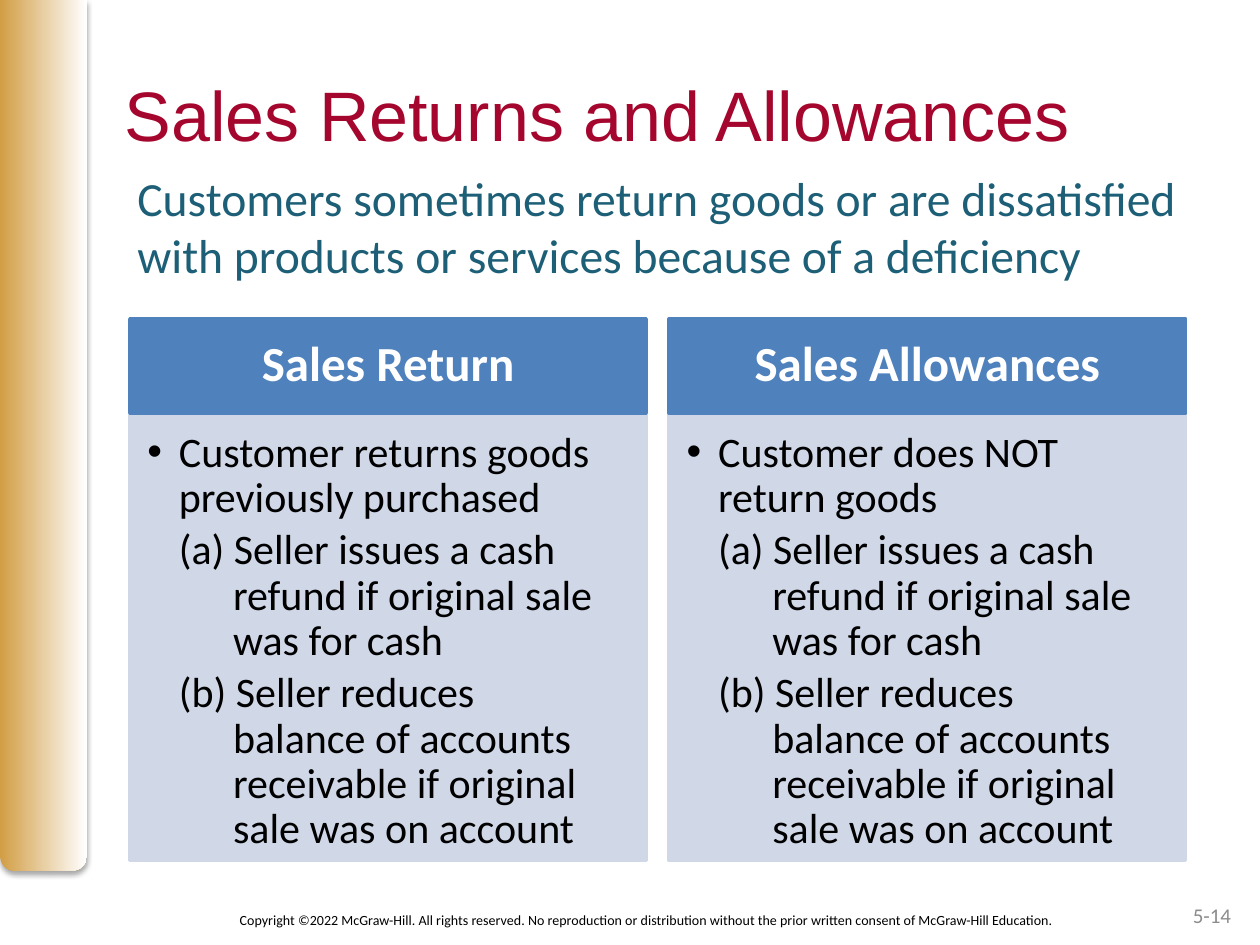
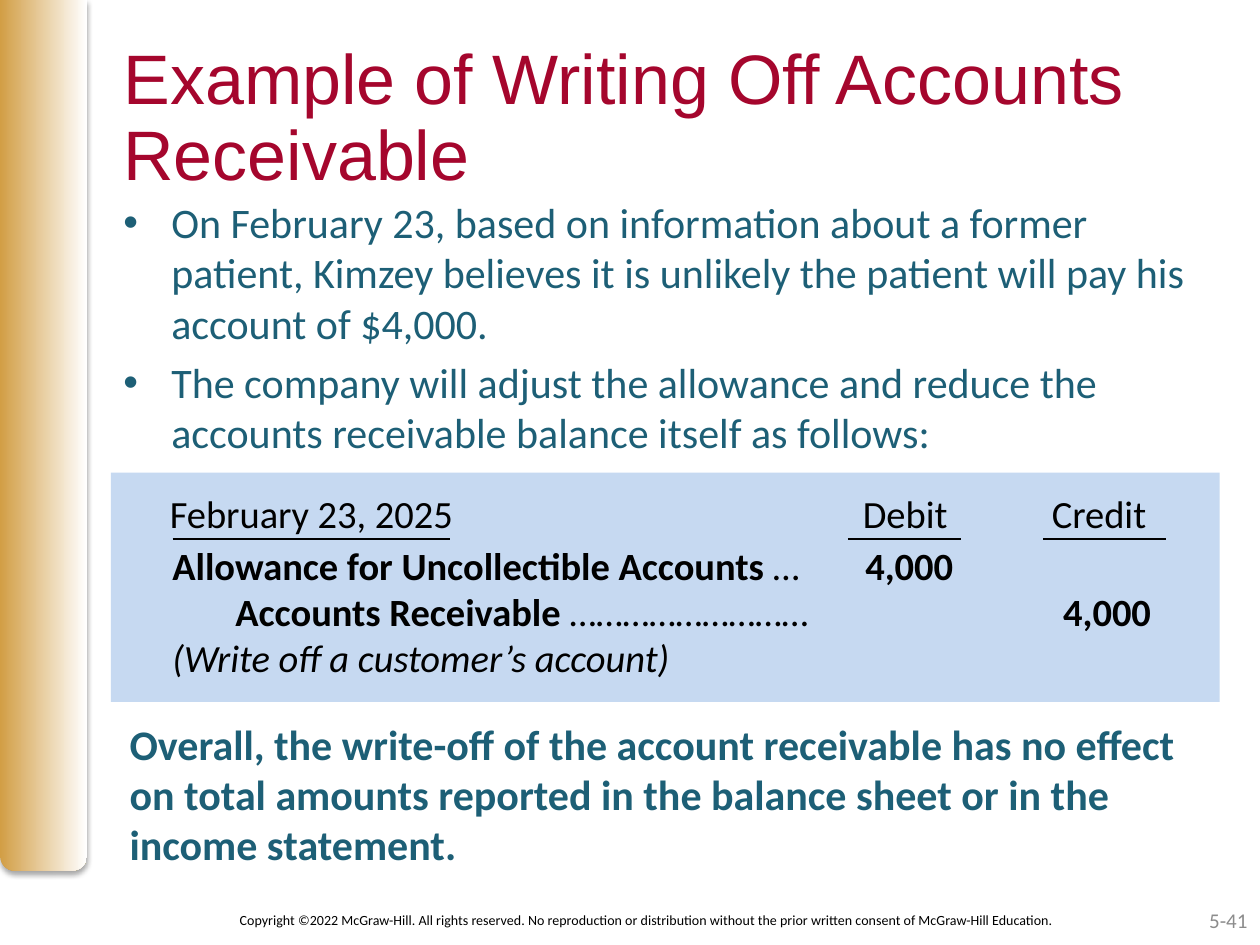
from lxml import etree
from pptx import Presentation
from pptx.dml.color import RGBColor
from pptx.enum.shapes import MSO_CONNECTOR, MSO_SHAPE
from pptx.enum.text import MSO_ANCHOR, MSO_AUTO_SIZE, PP_ALIGN
from pptx.oxml.ns import qn
from pptx.util import Inches, Pt

COLORS = {
    "title": "A5062D", "body": "1D5F76", "text": "000000", "white": "FFFFFF",
    "number": "8C8C8C", "gold": "D29E45", "header": "4F81BD",
    "panel": "D0D8E8", "journal": "C6D9F1",
}
COPYRIGHT = ("Copyright ©2022 McGraw-Hill. All rights reserved. No reproduction or distribution "
             "without the prior written consent of McGraw-Hill Education.")
REFUND_STEPS = [
    "(a) Seller issues a cash refund if original sale was for cash",
    "(b) Seller reduces balance of accounts receivable if original sale was on account",
]


def rgb(name):
    return RGBColor.from_string(COLORS[name])


def apply(target, formats):
    for name, value in formats.items():
        setattr(target, name, value)


def place(shape, box):
    apply(shape, dict(zip(("left", "top", "width", "height"), map(Inches, box))))


def set_frame(shape, insets=(0.1, 0.05, 0.1, 0.05), anchor=MSO_ANCHOR.TOP):
    frame = shape.text_frame
    sides = ("margin_left", "margin_top", "margin_right", "margin_bottom")
    apply(frame, dict(zip(sides, map(Inches, insets))))
    apply(frame, {"word_wrap": True, "auto_size": MSO_AUTO_SIZE.NONE, "vertical_anchor": anchor})
    return frame


def next_paragraph(frame):
    first = frame.paragraphs[0]
    return frame.add_paragraph() if first.runs else first


def add_run(paragraph, text, size, color, font="Calibri", **styles):
    run = paragraph.add_run()
    run.text = text
    apply(run.font, {"name": font, "size": Pt(size), **styles})
    run.font.color.rgb = rgb(color)


def set_indent(paragraph, left=0, hanging=0, bullet=None):
    props = paragraph._p.get_or_add_pPr()
    props.set("marL", str(Inches(left)))
    props.set("indent", str(-Inches(hanging)))
    if bullet:
        font = etree.SubElement(props, qn("a:buFont"))
        font.set("typeface", "Arial")
        etree.SubElement(props, qn("a:buChar")).set("char", bullet)
    else:
        etree.SubElement(props, qn("a:buNone"))


def set_tabs(paragraph, stops):
    tab_list = etree.SubElement(paragraph._p.get_or_add_pPr(), qn("a:tabLst"))
    for stop in stops:
        tab = etree.SubElement(tab_list, qn("a:tab"))
        tab.set("pos", str(Inches(stop)))
        tab.set("algn", "l")


def add_text(slide, box, text, size, color, align=PP_ALIGN.LEFT, anchor=MSO_ANCHOR.TOP, **styles):
    label = slide.shapes.add_textbox(*map(Inches, box))
    paragraph = set_frame(label, anchor=anchor).paragraphs[0]
    paragraph.alignment = align
    add_run(paragraph, text, size, color, **styles)


def add_rectangle(slide, box, color, outlined=False):
    rectangle = slide.shapes.add_shape(MSO_SHAPE.RECTANGLE, *map(Inches, box))
    rectangle.shadow.inherit = False
    rectangle.fill.solid()
    rectangle.fill.fore_color.rgb = rgb(color)
    if outlined:
        rectangle.line.color.rgb = rgb(color)
        rectangle.line.width = Pt(2)
    else:
        rectangle.line.fill.background()
    return rectangle


def add_gold_band(slide):
    band = slide.shapes.add_shape(MSO_SHAPE.ROUND_2_SAME_RECTANGLE,
                                  0, 0, Inches(0.69), Inches(6.91))
    band.adjustments[0], band.adjustments[1] = 0, 0.17
    band.line.fill.background()
    band.fill.gradient()
    band.fill.gradient_angle = 0
    for stop, color in zip(band.fill.gradient_stops, ("gold", "white")):
        stop.color.rgb = rgb(color)
    band.shadow.inherit = False
    effects = band._element.spPr.find(qn("a:effectLst"))
    shadow = etree.SubElement(effects, qn("a:outerShdw"), blurRad=str(Pt(3.1)),
                              dist=str(Pt(1.8)), dir="5400000", rotWithShape="0")
    black = etree.SubElement(shadow, qn("a:srgbClr"), val=COLORS["text"])
    etree.SubElement(black, qn("a:alpha"), val="35000")


def start_slide(deck, title, title_box, number, number_box):
    """Add a slide with band, title, copyright line and page number."""
    slide = deck.slides.add_slide(deck.slide_layouts[1])
    add_gold_band(slide)
    place(slide.shapes.title, title_box)
    heading = set_frame(slide.shapes.title).paragraphs[0]
    apply(heading, {"alignment": PP_ALIGN.LEFT, "line_spacing": 0.9 if title_box[3] > 1.25 else 1.0})
    add_run(heading, title, 40, "title", font="Arial")
    add_text(slide, (1.56, 7.1, 7.15, 0.4), COPYRIGHT, 8, "text", PP_ALIGN.CENTER, MSO_ANCHOR.MIDDLE)
    add_text(slide, number_box, number, 12, "number", PP_ALIGN.RIGHT, MSO_ANCHOR.MIDDLE)
    return slide


def fill_body(slide, box, texts, size, hanging=0, bullet=None):
    body = slide.placeholders[1]
    place(body, box)
    frame = set_frame(body)
    for index, text in enumerate(texts):
        paragraph = next_paragraph(frame)
        set_indent(paragraph, hanging, hanging, bullet)
        paragraph.space_before = Pt(5 if index else 0)
        add_run(paragraph, text, size, "body")


def add_comparison_column(slide, box, heading, lead):
    left, top, width, height = box
    header_height = 0.75
    panel = add_rectangle(slide, (left, top + header_height, width, height - header_height),
                          "panel", outlined=True)
    frame = set_frame(panel, (0.14, 0.14, 0.29, 0.21))
    for text in [lead, *REFUND_STEPS]:
        paragraph = next_paragraph(frame)
        if text == lead:
            set_indent(paragraph, 0.25, 0.25, "•")
        else:
            set_indent(paragraph, 0.68, 0.43)
        apply(paragraph, {"alignment": PP_ALIGN.LEFT, "line_spacing": 0.9, "space_after": Pt(4)})
        add_run(paragraph, text, 24, "text")

    header = add_rectangle(slide, (left, top, width, header_height), "header", outlined=True)
    title = set_frame(header, (0.22, 0.12, 0.22, 0.12), MSO_ANCHOR.MIDDLE).paragraphs[0]
    apply(title, {"alignment": PP_ALIGN.CENTER, "line_spacing": 0.9})
    add_run(title, heading, 28, "white", bold=True)


def add_journal_entry(slide, box):
    left, top, width, height = box
    add_rectangle(slide, box, "journal")
    bold, plain, italic = {"bold": True}, {}, {"italic": True}
    header = [("February 23, 2025\tDebit\tCredit", plain)]
    entries = [
        ([("Allowance for Uncollectible Accounts ", bold), ("…", plain), ("\t4,000", bold)], [5.5]),
        ([("\tAccounts Receivable ", bold), ("………………………", plain), ("\t4,000", bold)], [0.5, 7.07]),
        ([("(Write off a customer’s account)", italic)], []),
    ]
    blocks = [((0.37, 0.09, 8.6, 0.47), [(header, [5.5, 7.0])]),
              ((0.39, 0.5, 8.6, 1.21), entries)]
    for (dx, dy, block_width, block_height), rows in blocks:
        block = slide.shapes.add_textbox(Inches(left + dx), Inches(top + dy),
                                         Inches(block_width), Inches(block_height))
        frame = set_frame(block)
        for runs, stops in rows:
            paragraph = next_paragraph(frame)
            if stops:
                set_tabs(paragraph, stops)
            for text, styles in runs:
                add_run(paragraph, text, 22, "text", **styles)

    rule_y = Inches(top + 0.53)
    for start, end in [(0.49, 2.69), (5.85, 6.75), (7.4, 8.37)]:
        rule = slide.shapes.add_connector(MSO_CONNECTOR.STRAIGHT, Inches(left + start), rule_y,
                                          Inches(left + end), rule_y)
        rule.line.color.rgb = rgb("text")
        rule.line.width = Pt(1)
        etree.SubElement(rule._element.spPr, qn("a:effectLst"))


def build_returns_slide(deck):
    slide = start_slide(deck, "Sales Returns and Allowances", (0.89, 0.52, 8.7, 1.2),
                        "5-14", (7.54, 7.06, 2.33, 0.4))
    fill_body(slide, (0.99, 1.29, 9.12, 1.02),
              ["Customers sometimes return goods or are dissatisfied with products or services "
               "because of a deficiency"], 27.2)
    columns = [("Sales Return", "Customer returns goods previously purchased"),
               ("Sales Allowances", "Customer does NOT return goods")]
    for index, (heading, lead) in enumerate(columns):
        add_comparison_column(slide, (1.03 + index * 4.28, 2.53, 4.1, 4.3), heading, lead)


def build_write_off_slide(deck):
    slide = start_slide(deck, "Example of Writing Off Accounts Receivable", (0.88, 0.3, 9, 1.29),
                        "5-41", (7.67, 7.1, 2.33, 0.4))
    fill_body(slide, (0.88, 1.51, 8.7, 2.12),
              ["On February 23, based on information about a former patient, Kimzey believes it is "
               "unlikely the patient will pay his account of $4,000.",
               "The company will adjust the allowance and reduce the accounts receivable balance "
               "itself as follows:"], 24, 0.38, "•")
    add_journal_entry(slide, (0.88, 3.75, 8.8, 1.82))
    add_text(slide, (0.93, 5.65, 8.7, 1.46),
             "Overall, the write-off of the account receivable has no effect on total amounts "
             "reported in the balance sheet or in the income statement.", 24, "body", bold=True)


def main():
    deck = Presentation()
    apply(deck, {"slide_width": Inches(10), "slide_height": Inches(7.5)})
    build_returns_slide(deck)
    build_write_off_slide(deck)
    deck.save("out.pptx")


if __name__ == "__main__":
    main()
